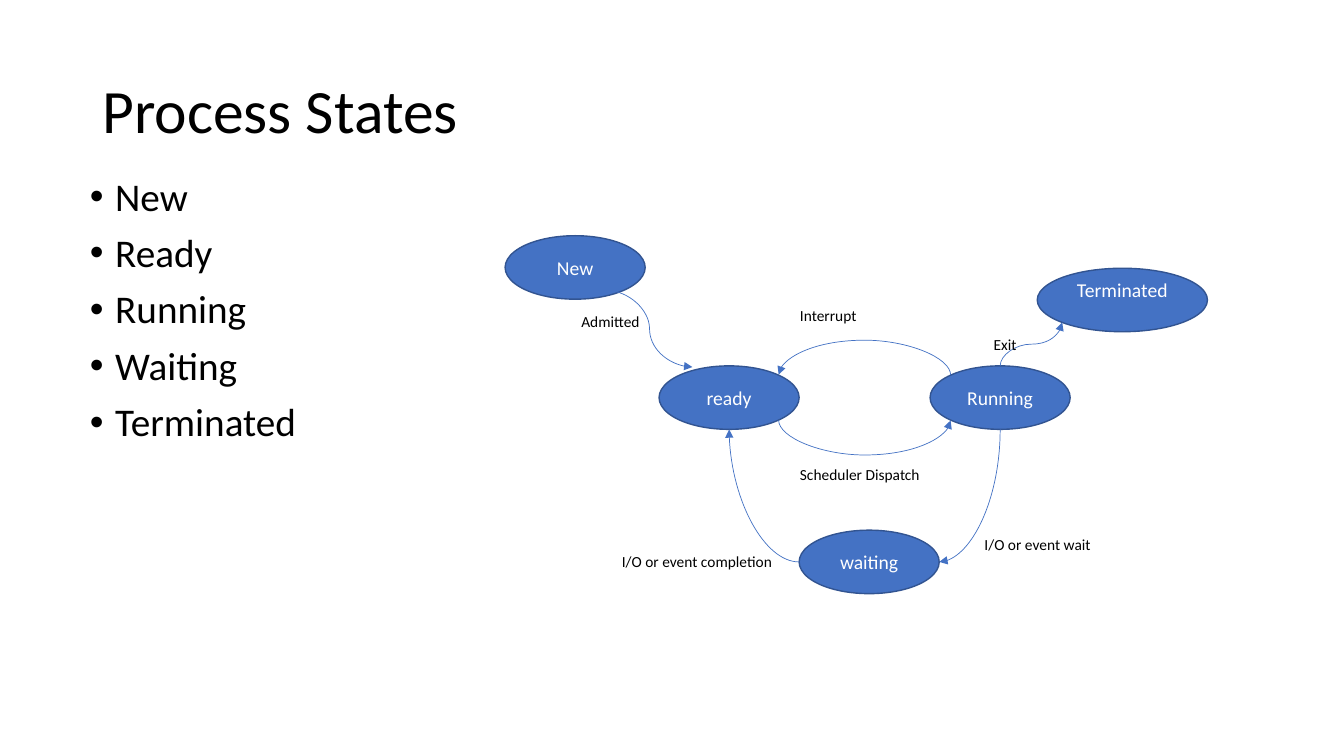
from math import cos, radians, sin

from pptx import Presentation
from pptx.dml.color import RGBColor
from pptx.enum.shapes import MSO_CONNECTOR, MSO_SHAPE
from pptx.enum.text import MSO_ANCHOR, MSO_AUTO_SIZE, PP_ALIGN
from pptx.oxml.ns import qn
from pptx.oxml.xmlchemy import OxmlElement
from pptx.util import Cm, Pt

BLACK = RGBColor(0, 0, 0)
WHITE = RGBColor(255, 255, 255)
BLUE = RGBColor(0x44, 0x72, 0xC4)
DARK_BLUE = RGBColor(0x32, 0x54, 0x91)
STATE_WIDTH, STATE_HEIGHT = 3.53, 1.6
HAIR = Cm(0.01)
ARC_BULGE = 88

STATES = {
    "New": (12.73, 5.94, STATE_WIDTH),
    "ready": (16.61, 9.22, STATE_WIDTH),
    "Running": (23.44, 9.22, STATE_WIDTH),
    "waiting": (20.14, 13.36, STATE_WIDTH),
    "Terminated": (26.14, 6.76, 4.29),
}
LABELS = [
    ("I/O or event wait", 24.56, 13.36),
    ("I/O or event completion", 15.42, 13.79),
    ("Scheduler Dispatch", 19.91, 11.6),
    ("Interrupt", 19.91, 7.59),
    ("Admitted", 14.4, 7.75),
    ("Exit", 24.79, 8.33),
]


def style(paragraph, size, color):
    """Set the font of a paragraph."""
    paragraph.font.name = "Calibri"
    paragraph.font.size = Pt(size)
    paragraph.font.color.rgb = color


def place(shape, left, top, width, height):
    """Move and size a shape, in centimetres."""
    shape.left, shape.top = Cm(left), Cm(top)
    shape.width, shape.height = Cm(width), Cm(height)


def fill_title(title):
    """Write the heading in the title placeholder."""
    place(title, 2.33, 1.01, 29.21, 3.68)
    title.text_frame.text = "Process States"
    title.text_frame.vertical_anchor = MSO_ANCHOR.MIDDLE
    heading = title.text_frame.paragraphs[0]
    heading.alignment = PP_ALIGN.LEFT
    heading.line_spacing = 0.9
    style(heading, 44, BLACK)


def fill_list(body, items):
    """Write the bulleted list in the body placeholder."""
    place(body, 2.01, 4.34, 29.21, 12.09)
    body.text_frame.text = "\n".join(items)
    body.text_frame.auto_size = MSO_AUTO_SIZE.NONE
    for index, item in enumerate(body.text_frame.paragraphs):
        item.line_spacing = 0.9
        item.space_before = Pt(10 if index else 0)
        properties = item._p.get_or_add_pPr()
        properties.set("marL", str(Cm(0.64)))
        properties.set("indent", str(-Cm(0.64)))
        bullet_font = OxmlElement("a:buFont")
        bullet_font.set("typeface", "Arial")
        bullet = OxmlElement("a:buChar")
        bullet.set("char", "•")
        properties.extend([bullet_font, bullet])
        style(item, 28, BLACK)


def add_state(slide, name, left, top, width):
    """Draw one process state as an ellipse."""
    state = slide.shapes.add_shape(
        MSO_SHAPE.OVAL, Cm(left), Cm(top), Cm(width), Cm(STATE_HEIGHT))
    state.shadow.inherit = False
    state.fill.solid()
    state.fill.fore_color.rgb = BLUE
    state.line.color.rgb = DARK_BLUE
    state.line.width = Pt(1)
    state.text_frame.text = name
    state.text_frame.word_wrap = True
    state.text_frame.vertical_anchor = MSO_ANCHOR.MIDDLE
    state.text_frame.paragraphs[0].alignment = PP_ALIGN.CENTER
    style(state.text_frame.paragraphs[0], 14, WHITE)
    return state


def add_label(slide, text, left, top):
    """Write the name of a transition."""
    label = slide.shapes.add_textbox(Cm(left), Cm(top), Cm(4.55), Cm(1.5))
    label.text_frame.word_wrap = True
    label.text_frame.text = text
    style(label.text_frame.paragraphs[0], 11, BLACK)


def rim(state, angle):
    """Return the point of an ellipse at an angle, clockwise from the right."""
    return (round(state.left + state.width * (1 + cos(radians(angle))) / 2),
            round(state.top + state.height * (1 + sin(radians(angle))) / 2))


def add_transition(slide, start, end, turn=0, geometry="curvedConnector3", bulge=None):
    """Draw a curved arrow whose first direction is right, turned clockwise."""
    dx, dy = end[0] - start[0], end[1] - start[1]
    across, down = {0: (dx, dy), 90: (dy, -dx), 180: (-dx, -dy), 270: (-dy, dx)}[turn]
    left = (start[0] + end[0] - across) // 2
    top = (start[1] + end[1] - down) // 2
    arrow = slide.shapes.add_connector(
        MSO_CONNECTOR.CURVE, left, top, left + across, top + down)
    arrow.line.color.rgb = BLUE
    arrow.line.width = Pt(0.5)
    head = OxmlElement("a:tailEnd")
    head.set("type", "triangle")
    arrow.line._get_or_add_ln().append(head)
    properties = arrow._element.spPr
    properties.append(OxmlElement("a:effectLst"))
    if turn:
        properties.find(qn("a:xfrm")).set("rot", str(turn * 60000))
    outline = properties.find(qn("a:prstGeom"))
    outline.set("prst", geometry)
    if bulge:
        guide = OxmlElement("a:gd")
        guide.set("name", "adj1")
        guide.set("fmla", f"val {bulge * 100000}")
        outline.get_or_add_avLst().append(guide)


def main():
    """Build the process state slide."""
    deck = Presentation()
    deck.slide_width, deck.slide_height = Cm(33.87), Cm(19.05)
    slide = deck.slides.add_slide(deck.slide_layouts[1])
    fill_title(slide.shapes.title)
    fill_list(slide.placeholders[1], ["New", "Ready", "Running", "Waiting", "Terminated"])

    states = {name: add_state(slide, name, *spot) for name, spot in STATES.items()}
    ready, running, waiting = states["ready"], states["Running"], states["waiting"]
    terminated = states["Terminated"]
    terminated.text_frame.vertical_anchor = MSO_ANCHOR.TOP
    terminated.text_frame.margin_top = 0

    add_transition(slide, (Cm(15.29), Cm(7.32)), (Cm(17.45), Cm(9.25)))
    ready_x, ready_y = rim(ready, 315)
    add_transition(slide, rim(running, 225), (ready_x, ready_y - HAIR), 270, bulge=ARC_BULGE)
    running_x, running_y = rim(running, 135)
    add_transition(slide, rim(ready, 45), (running_x, running_y + HAIR), 270, bulge=ARC_BULGE)
    add_transition(slide, rim(waiting, 180), rim(ready, 90), 180, "curvedConnector2")
    add_transition(slide, rim(running, 90), rim(waiting, 0), 90, "curvedConnector2")
    add_transition(slide, rim(running, 270), rim(terminated, 135), 90)

    for label in LABELS:
        add_label(slide, *label)
    deck.save("out.pptx")


if __name__ == "__main__":
    main()
